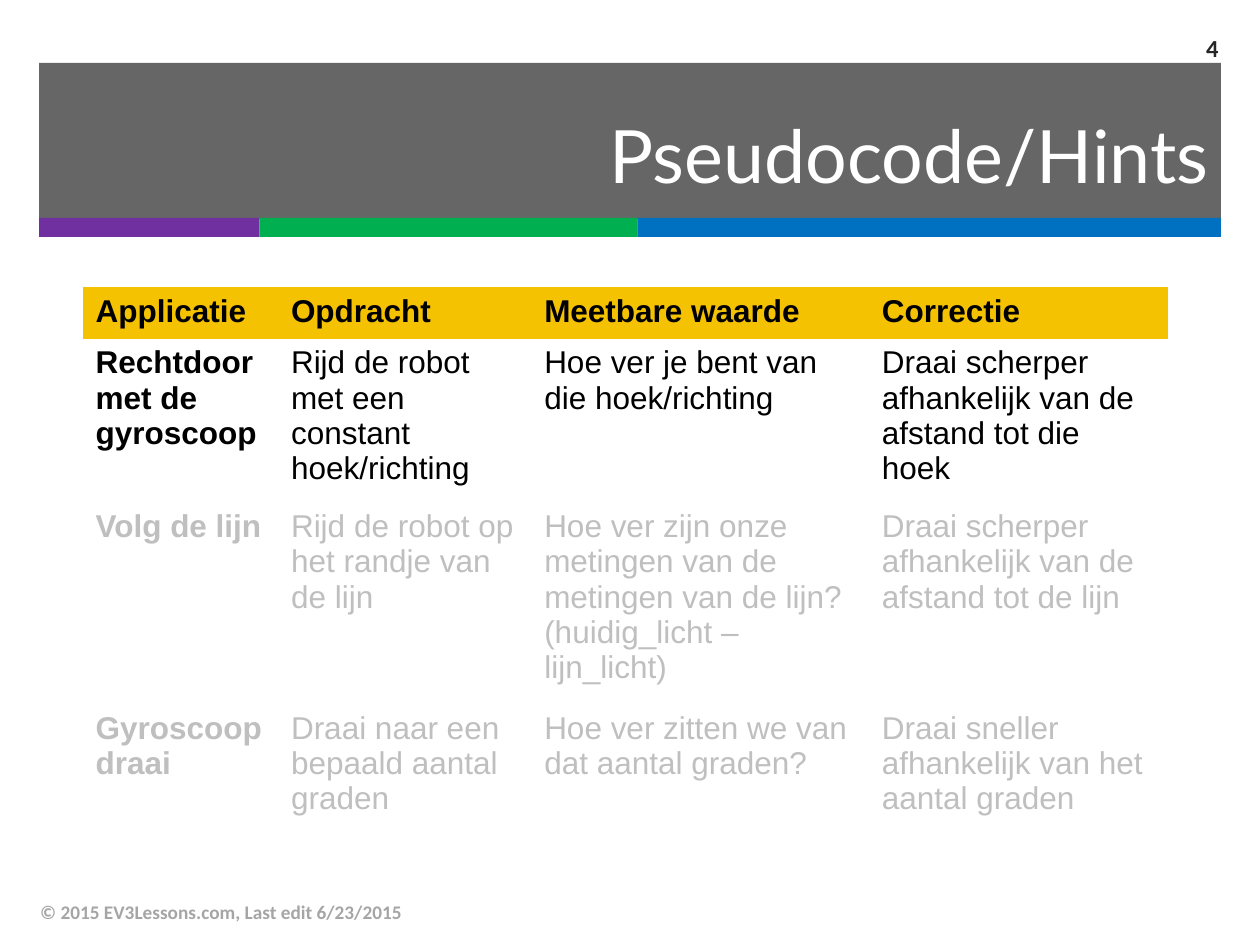
from pptx import Presentation
from pptx.dml.color import RGBColor
from pptx.enum.shapes import MSO_SHAPE
from pptx.enum.text import MSO_ANCHOR, PP_ALIGN
from pptx.oxml.ns import qn
from pptx.util import Inches, Pt
from lxml import etree

RECTANGLE = MSO_SHAPE.RECTANGLE
MIDDLE = MSO_ANCHOR.MIDDLE
LEFT, RIGHT = PP_ALIGN.LEFT, PP_ALIGN.RIGHT

WHITE = RGBColor(0xFF, 0xFF, 0xFF)
BLACK = RGBColor(0x00, 0x00, 0x00)
DARK = RGBColor(0x26, 0x26, 0x26)
GRAY = RGBColor(0xA5, 0xA5, 0xA5)
FADED = RGBColor(0xBF, 0xBF, 0xBF)
GOLD = RGBColor(0xF5, 0xC2, 0x01)
PURPLE = RGBColor(0x70, 0x30, 0xA0)
GREEN = RGBColor(0x00, 0xB0, 0x50)
BLUE = RGBColor(0x00, 0x70, 0xC0)

# Content
TITLE = "Pseudocode/Hints"
FOOTER = "© 2015 EV3Lessons.com, Last edit 6/23/2015"
PAGE_NUMBER = "4"
ROWS = [
    ("Applicatie", "Opdracht", "Meetbare waarde", "Correctie"),
    ("Rechtdoor met de gyroscoop",
     "Rijd de robot met een constant hoek/richting",
     "Hoe ver je bent van die hoek/richting",
     "Draai scherper afhankelijk van de afstand tot die hoek"),
    ("Volg de lijn",
     "Rijd de robot op het randje van de lijn",
     """Hoe ver zijn onze metingen van de metingen van de lijn?
(huidig_licht – lijn_licht)""",
     "Draai scherper afhankelijk van de afstand tot de lijn"),
    ("Gyroscoop draai",
     "Draai naar een bepaald aantal graden",
     "Hoe ver zitten we van dat aantal graden?",
     "Draai sneller afhankelijk van het aantal graden"),
]

# Layout in inches
MARGIN, BANNER_WIDTH = 0.31, 9.38
STRIPES = [(1.75, PURPLE), (3, GREEN), (4.63, BLUE)]
COLUMN_WIDTHS = [1.55, 2.01, 2.68, 2.37]
ROW_HEIGHT = 0.41
NO_GRID_STYLE = "{2D5ABB26-0587-4C30-8999-92F81FD0307C}"


def write(text_frame, text, alignment=LEFT, **font_format):
    paragraph = text_frame.paragraphs[0]
    paragraph.text = text  # a newline becomes a line break
    paragraph.alignment = alignment
    for run in paragraph.runs:
        run.font.color.rgb = font_format["color"]
        for name in ("name", "size", "bold"):
            setattr(run.font, name, font_format[name])


def add_bar(slide, left, top, width, height, color):
    shape = slide.shapes.add_shape(
        RECTANGLE, *map(Inches, (left, top, width, height)))
    shape.shadow.inherit = False
    shape.fill.solid()
    shape.fill.fore_color.rgb = color
    shape.line.fill.background()
    return shape


def add_label(slide, box, text, **text_format):
    text_frame = slide.shapes.add_textbox(*map(Inches, box)).text_frame
    text_frame.word_wrap = True
    text_frame.vertical_anchor = MIDDLE
    write(text_frame, text, **text_format)


def add_banner(slide):
    banner = add_bar(slide, MARGIN, 0.5, BANNER_WIDTH, 1.24, DARK)
    color = banner._element.spPr.find(f".//{qn('a:srgbClr')}")
    etree.SubElement(color, qn("a:alpha"), val="70000")
    left = MARGIN
    for width, stripe_color in STRIPES:
        add_bar(slide, left, 1.73, width, 0.15, stripe_color)
        left += width


def add_title(slide):
    title = slide.shapes.title
    box = dict(left=MARGIN, top=0.69, width=BANNER_WIDTH, height=1.06)
    for name, value in box.items():
        setattr(title, name, Inches(value))
    title.text_frame.vertical_anchor = MIDDLE
    write(title.text_frame, TITLE, RIGHT,
          name="Lato", size=Pt(42), bold=False, color=WHITE)
    # Bring the title in front of the banner
    slide.shapes._spTree.append(title._element)


def add_hint_table(slide):
    frame = slide.shapes.add_table(
        len(ROWS), len(COLUMN_WIDTHS), Inches(0.66), Inches(2.28),
        Inches(sum(COLUMN_WIDTHS)), Inches(ROW_HEIGHT * len(ROWS)))
    table = frame.table
    table.horz_banding = False
    for style in frame._element.iter(qn("a:tableStyleId")):
        style.text = NO_GRID_STYLE
    for column, width in zip(table.columns, COLUMN_WIDTHS):
        column.width = Inches(width)
    for r, row in enumerate(ROWS):
        for c, text in enumerate(row):
            cell = table.cell(r, c)
            if r == 0:
                cell.fill.solid()
                cell.fill.fore_color.rgb = GOLD
            else:
                cell.fill.background()
            write(cell.text_frame, text, name="Arial", size=Pt(18),
                  bold=r == 0 or c == 0, color=BLACK if r < 2 else FADED)


def main():
    presentation = Presentation()
    presentation.slide_width = Inches(10)
    presentation.slide_height = Inches(7.5)
    slide = presentation.slides.add_slide(presentation.slide_layouts[5])

    add_banner(slide)
    add_title(slide)
    add_label(slide, (0.22, 7.04, 6.7, 0.4), FOOTER,
              name="Calibri", size=Pt(11), bold=True, color=GRAY)
    add_hint_table(slide)
    add_label(slide, (9.08, 0.18, 0.69, 0.39), PAGE_NUMBER, alignment=RIGHT,
              name="Calibri", size=Pt(14), bold=True, color=DARK)

    presentation.save("out.pptx")


if __name__ == "__main__":
    main()
